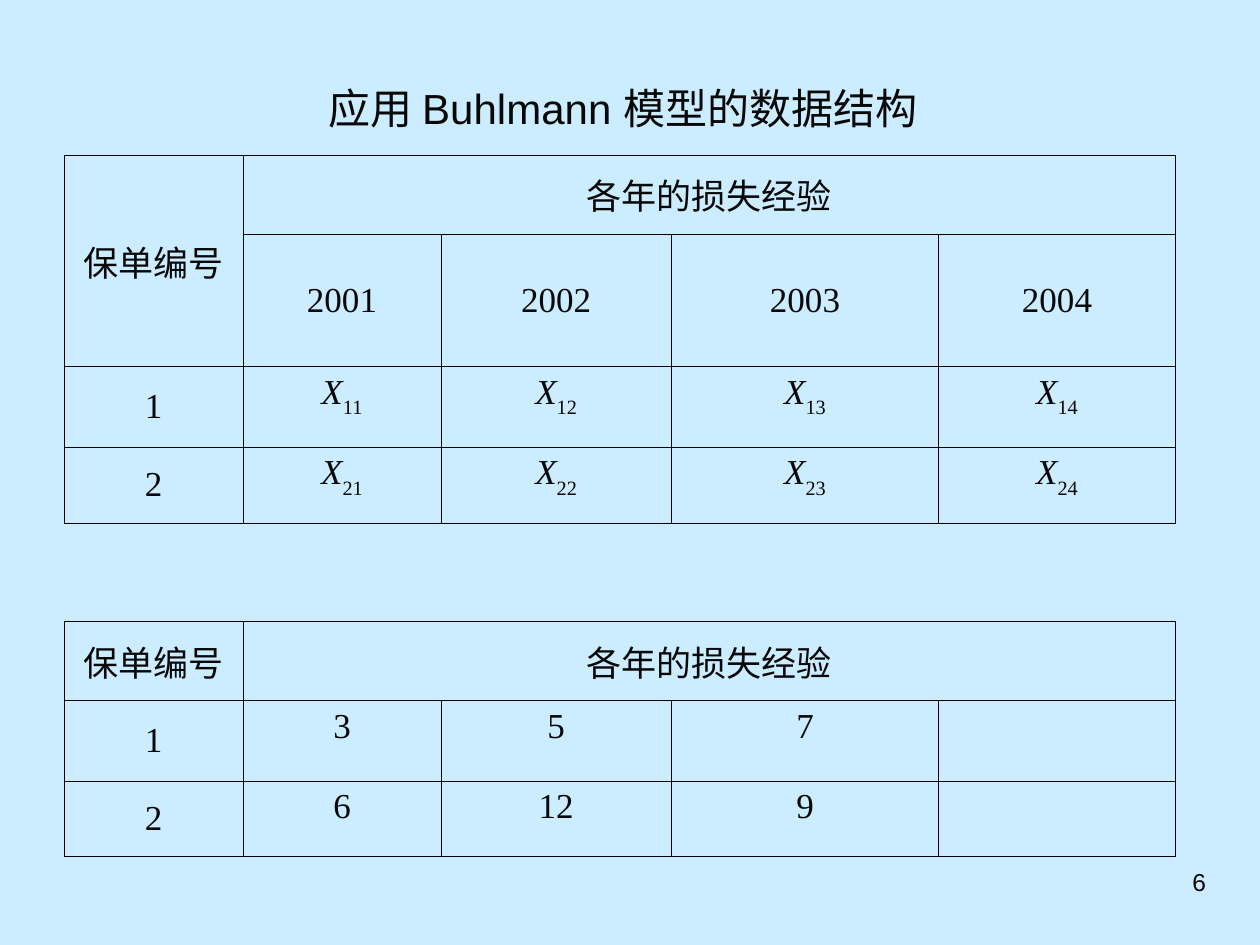
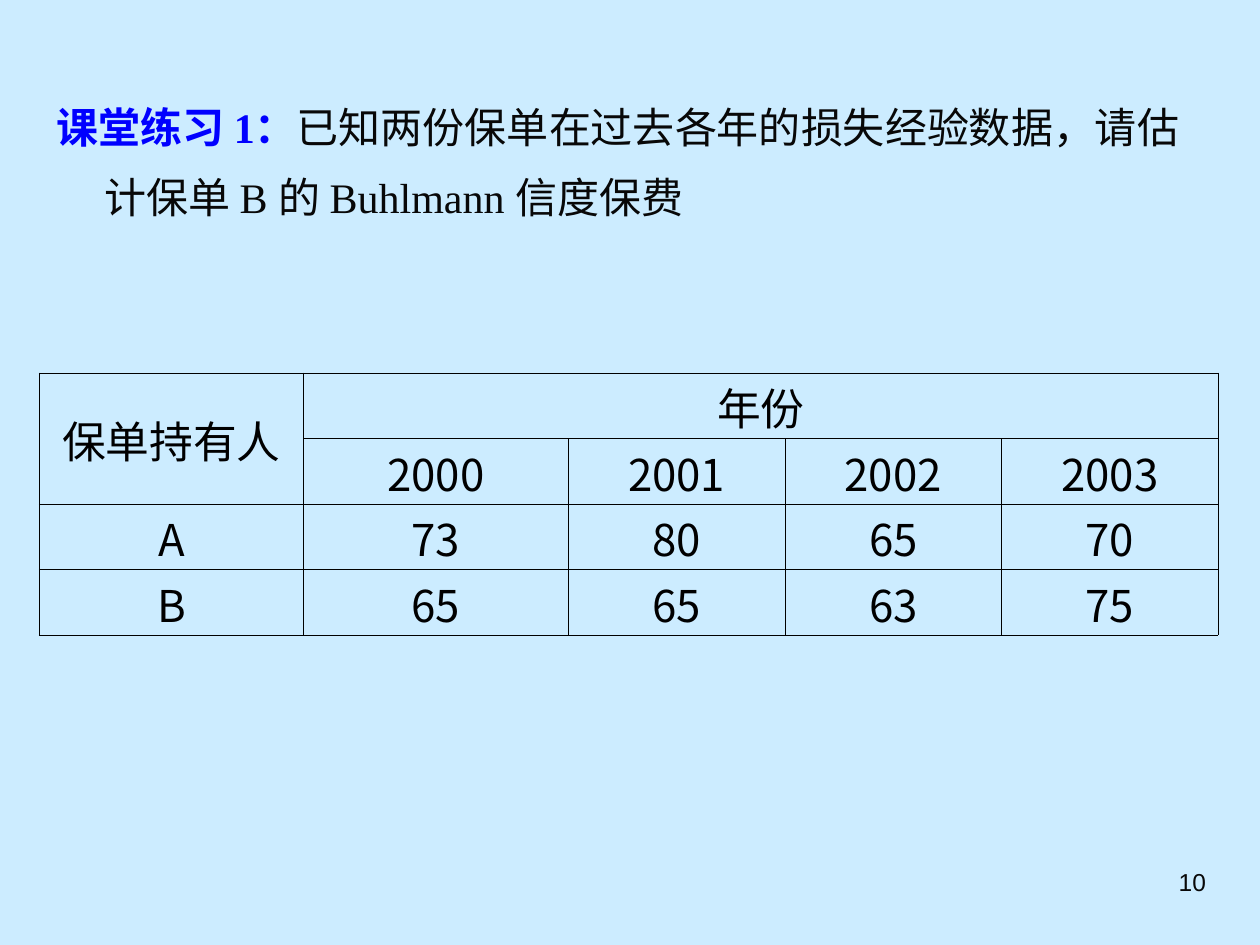
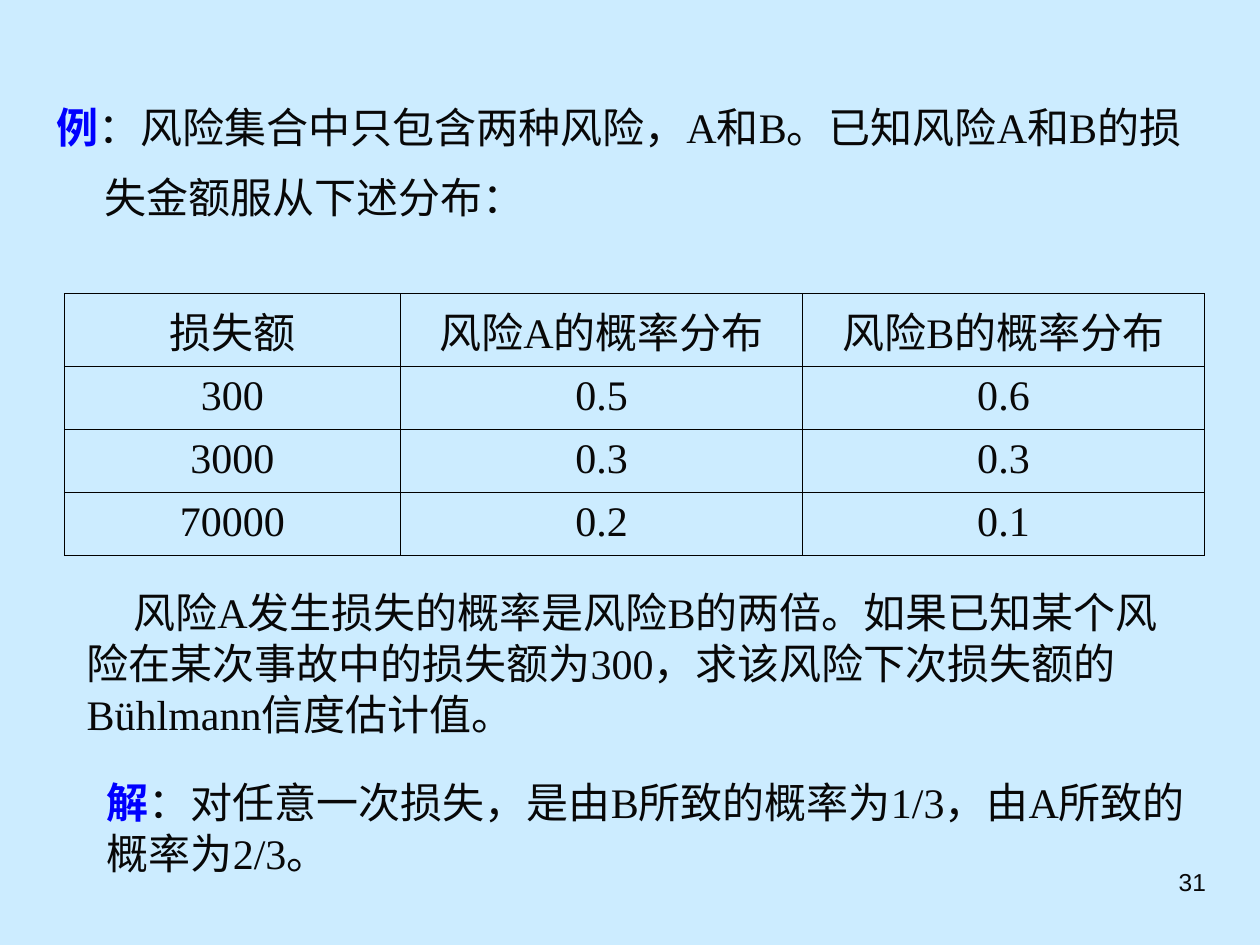
from lxml import etree
from pptx import Presentation
from pptx.dml.color import RGBColor
from pptx.enum.text import MSO_ANCHOR, MSO_AUTO_SIZE, PP_ALIGN
from pptx.oxml.ns import qn
from pptx.util import Inches, Pt

SKY = RGBColor(0xCC, 0xEC, 0xFF)
INK = RGBColor(0x08, 0x08, 0x08)
BLACK = RGBColor(0, 0, 0)
BLUE = RGBColor(0, 0, 0xFF)
SANS, SERIF, CHINESE = "Arial", "Times New Roman", "Noto Sans CJK SC"
TITLE_ONLY, BLANK = 5, 6

BODY = {"size": Pt(24), "name": SERIF, "color": INK}
LEAD = BODY | {"color": BLUE, "bold": True}
TITLE = BODY | {"name": SANS}
NUMBER = TITLE | {"size": Pt(14)}
SMALL_CELL = BODY | {"size": Pt(20)}
PLAIN_CELL = {"size": Pt(25), "name": CHINESE, "color": BLACK}

SINGLE = {"line_spacing": Pt(29)}
STATEMENT = {"line_spacing": Pt(40)}
CENTRED = {"alignment": PP_ALIGN.CENTER}
HANGING = (0.38, -0.38)
STATEMENT_AREA = (0.35, 0.6, 9.13, 1.26)

YEARS = range(1, 5)
POLICY_COLUMNS = [1.42, 1.57, 1.83, 2.12, 1.88]
SYMBOL_ROWS = [
    ["保单编号", "各年的损失经验", "", "", ""],
    ["", "2001", "2002", "2003", "2004"],
    *[[str(policy), *[f"X_{policy}{year}" for year in YEARS]] for policy in (1, 2)],
]
VALUE_ROWS = [
    ["保单编号", "各年的损失经验", "", "", ""],
    ["1", "3", "5", "7", ""],
    ["2", "6", "12", "9", ""],
]
HOLDER_ROWS = [
    ["保单持有人", "年份", "", "", ""],
    ["", "2000", "2001", "2002", "2003"],
    ["A", "73", "80", "65", "70"],
    ["B", "65", "65", "63", "75"],
]
RISK_ROWS = [
    ["损失额", "风险A的概率分布", "风险B的概率分布"],
    ["300", "0.5", "0.6"],
    ["3000", "0.3", "0.3"],
    ["70000", "0.2", "0.1"],
]
STUB_MERGE = ((0, 0), (1, 0))
HEAD_MERGE = ((0, 1), (0, 4))

STRUCTURE_TITLE = "应用 Buhlmann 模型的数据结构"
EXERCISE = [
    ("课堂练习 1：", LEAD),
    ("已知两份保单在过去各年的损失经验数据，请估计保单 B 的 Buhlmann 信度保费", BODY),
]
EXAMPLE = [
    ("例", LEAD),
    ("：风险集合中只包含两种风险，A和B。已知风险A和B的损失金额服从下述分布：", BODY),
]
QUESTION = [(
    "风险A发生损失的概率是风险B的两倍。如果已知某个风险在某次事故中的损失额为300，"
    "求该风险下次损失额的Bühlmann信度估计值。", BODY)]
SOLUTION = [
    ("解", LEAD),
    ("：对任意一次损失，是由B所致的概率为1/3，由A所致的概率为2/3。", BODY),
]


def set_all(target, values):
    for name, value in values.items():
        setattr(target, name, value)


def place(shape, area):
    names = ("left", "top", "width", "height")
    set_all(shape, dict(zip(names, map(Inches, area))))


def add_span(para, text, style, subscript=False):
    span = para.add_run()
    span.text = text
    set_all(span.font, {key: value for key, value in style.items() if key != "color"})
    span.font.color.rgb = style["color"]
    properties = span._r.get_or_add_rPr()
    etree.SubElement(properties, qn("a:ea"), typeface=CHINESE)
    if subscript:
        properties.set("baseline", "-30000")


def write(frame, spans, layout, indents=None):
    para = frame.paragraphs[0]
    set_all(para, layout)
    if indents:
        margin, first = indents
        properties = para._p.get_or_add_pPr()
        properties.set("marL", str(Inches(margin)))
        properties.set("indent", str(Inches(first)))
    for text, style in spans:
        add_span(para, text, style)


def add_text(page, area, spans, layout, indents=None, anchor=MSO_ANCHOR.TOP):
    box = page.shapes.add_textbox(*map(Inches, area))
    set_all(box.text_frame, {"word_wrap": True, "vertical_anchor": anchor})
    write(box.text_frame, spans, layout, indents)


def add_page(deck, layout, number):
    page = deck.slides.add_slide(deck.slide_layouts[layout])
    add_text(page, (7.17, 6.83, 2.5, 0.52), [(str(number), NUMBER)],
             {"alignment": PP_ALIGN.RIGHT})
    return page


def outline(cell, width):
    cell.fill.background()
    properties = cell._tc.get_or_add_tcPr()
    for position, side in enumerate(("lnL", "lnR", "lnT", "lnB")):
        line = etree.Element(qn(f"a:{side}"), w=str(Pt(width)))
        fill = etree.SubElement(line, qn("a:solidFill"))
        etree.SubElement(fill, qn("a:srgbClr"), val=str(BLACK))
        properties.insert(position, line)


def add_grid(page, corner, columns, heights, rows, style, merges=(), first_top=None,
             top_from=0, border=0.45, layout=CENTRED, margins=(0.1, 0.05, 0.05)):
    """Cells from row first_top and column top_from on sit at the top, others in the middle."""
    size = (sum(columns), sum(heights))
    table = page.shapes.add_table(len(rows), len(columns),
                                  *map(Inches, corner + size)).table
    set_all(table, {"first_row": False, "horz_banding": False})
    for column, width in zip(table.columns, columns):
        column.width = Inches(width)
    for row, height in zip(table.rows, heights):
        row.height = Inches(height)
    side, top, bottom = map(Inches, margins)
    for r, texts in enumerate(rows):
        for c, text in enumerate(texts):
            cell = table.cell(r, c)
            at_top = first_top is not None and r >= first_top and c >= top_from
            set_all(cell, {
                "margin_left": side, "margin_right": side,
                "margin_top": top, "margin_bottom": bottom,
                "vertical_anchor": MSO_ANCHOR.TOP if at_top else MSO_ANCHOR.MIDDLE,
            })
            outline(cell, border)
            symbol, _, index = text.partition("_")
            if symbol:
                write(cell.text_frame, [(symbol, style | {"italic": bool(index)})], layout)
            if index:
                add_span(cell.text_frame.paragraphs[0], index, style, subscript=True)
    for start, end in merges:
        table.cell(*start).merge(table.cell(*end))


def build_structure(deck):
    page = add_page(deck, TITLE_ONLY, 6)
    title = page.shapes.title
    place(title, (2.51, 0.6, 5.03, 0.5))
    set_all(title.text_frame, {"word_wrap": False, "auto_size": MSO_AUTO_SIZE.NONE,
                               "vertical_anchor": MSO_ANCHOR.TOP})
    write(title.text_frame, [(STRUCTURE_TITLE, TITLE)],
          SINGLE | {"alignment": PP_ALIGN.LEFT})
    add_grid(page, (0.51, 1.23), POLICY_COLUMNS, [0.63, 1.05, 0.64, 0.6], SYMBOL_ROWS,
             SMALL_CELL, [STUB_MERGE, HEAD_MERGE], first_top=2, top_from=1)
    add_grid(page, (0.51, 4.93), POLICY_COLUMNS, [0.63, 0.64, 0.6], VALUE_ROWS,
             SMALL_CELL, [HEAD_MERGE], first_top=1, top_from=1)


def build_exercise(deck):
    page = add_page(deck, BLANK, 10)
    add_text(page, STATEMENT_AREA, EXERCISE, STATEMENT, HANGING)
    add_grid(page, (0.31, 2.96), [2.1] * 2 + [1.72] * 3, [0.52] * 4, HOLDER_ROWS,
             PLAIN_CELL, [STUB_MERGE, HEAD_MERGE], border=0.23,
             layout=CENTRED | {"line_spacing": Pt(30)}, margins=(0.02, 0.1, 0))


def build_example(deck):
    page = add_page(deck, BLANK, 31)
    add_text(page, STATEMENT_AREA, EXAMPLE, STATEMENT, HANGING)
    add_grid(page, (0.51, 2.33), [2.67, 3.19, 3.19], [0.58] + [0.5] * 3, RISK_ROWS,
             BODY, first_top=0)
    add_text(page, (0.59, 4.61, 8.9, 1.3), QUESTION, SINGLE, (0, 0.37), MSO_ANCHOR.MIDDLE)
    add_text(page, (0.75, 6.11, 8.9, 0.9), SOLUTION, SINGLE)


def main():
    deck = Presentation()
    set_all(deck, {"slide_width": Inches(10), "slide_height": Inches(7.5)})
    background = deck.slide_master.background.fill
    background.solid()
    background.fore_color.rgb = SKY
    for build in (build_structure, build_exercise, build_example):
        build(deck)
    deck.save("out.pptx")


if __name__ == "__main__":
    main()
